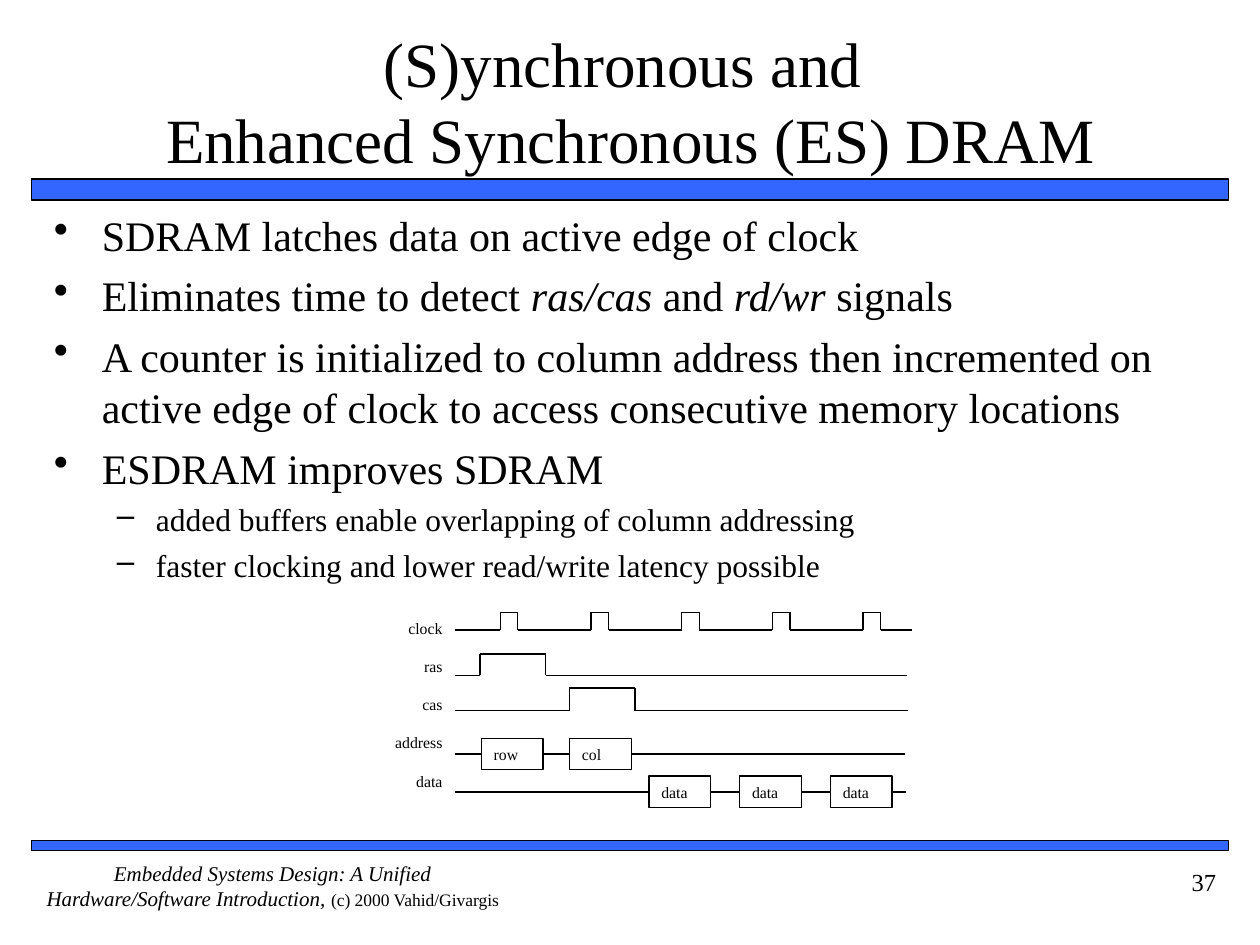
from dataclasses import dataclass
from itertools import pairwise

from lxml import etree
from pptx import Presentation
from pptx import util as u
from pptx.dml.color import RGBColor
from pptx.enum import shapes, text
from pptx.oxml.ns import qn


@dataclass(frozen=True)
class Theme:
    font: str = "Times New Roman"
    ink: RGBColor = RGBColor(0, 0, 0)
    paper: RGBColor = RGBColor(0xFF, 0xFF, 0xFF)
    bar: RGBColor = RGBColor(0x33, 0x66, 0xFF)
    title: float = 36
    point: float = 24
    subpoint: float = 18
    page: float = 14
    footer: float = 12
    credit: float = 10
    label: float = 9
    bar_line: float = 1
    signal_line: float = 0.75


@dataclass(frozen=True)
class Run:
    words: str
    italic: bool = False
    size: float | None = None


@dataclass(frozen=True)
class Bullet:
    mark: str
    indent: float
    hanging: float
    size: float
    before: float
    level: int = 0


@dataclass(frozen=True)
class Wave:
    low: float
    high: float
    rises: tuple[float, ...]
    width: float
    end: float


@dataclass(frozen=True)
class Bus:
    top: float
    cells: tuple[tuple[str, float], ...]
    end: float


THEME = Theme()
POINT = Bullet("•", 0.38, 0.38, THEME.point, 6)
SUBPOINT = Bullet("–", 0.81, 0.31, THEME.subpoint, 4.5, 1)
SIGNAL_START = 3.61
CLOCK_PITCH = 0.72
CELL_WIDTH, CELL_HEIGHT = 0.49, 0.25

POINTS = [
    (POINT, [Run("SDRAM latches data on active edge of clock")]),
    (POINT, [Run("Eliminates time to detect "), Run("ras/cas", True), Run(" and "),
             Run("rd/wr", True), Run(" signals")]),
    (POINT, [Run("A counter is initialized to column address then incremented on "
                 "active edge of clock to access consecutive memory locations")]),
    (POINT, [Run("ESDRAM improves SDRAM")]),
    (SUBPOINT, [Run("added buffers enable overlapping of column addressing")]),
    (SUBPOINT, [Run("faster clocking and lower read/write latency possible")]),
]
SIGNALS = ["clock", "ras", "cas", "address", "data"]
WAVES = [
    Wave(5.0, 4.86, tuple(3.97 + CLOCK_PITCH * i for i in range(5)), 0.14, 7.24),
    Wave(5.36, 5.19, (3.81,), 0.52, 7.2),
    Wave(5.64, 5.46, (4.52,), 0.52, 7.21),
]
BUSES = [
    Bus(5.86, (("row", 3.82), ("col", 4.52)), 7.18),
    Bus(6.16, tuple(("data", 5.15 + CLOCK_PITCH * i) for i in range(3)), 7.19),
]


def add_bullet(paragraph, bullet: Bullet) -> None:
    properties = paragraph._p.get_or_add_pPr()
    properties.set("marL", str(u.Inches(bullet.indent)))
    properties.set("indent", str(-u.Inches(bullet.hanging)))
    color = etree.SubElement(properties, qn("a:buClr"))
    etree.SubElement(color, qn("a:srgbClr")).set("val", str(THEME.ink))
    etree.SubElement(properties, qn("a:buChar")).set("char", bullet.mark)
    paragraph.level = bullet.level


def write(paragraph, runs: list[Run], *, size: float, align=text.PP_ALIGN.LEFT,
          before: float = 0, bullet: Bullet | None = None) -> None:
    if bullet:
        add_bullet(paragraph, bullet)
    paragraph.alignment = align
    paragraph.space_before = u.Pt(before)
    for part in runs:
        for i, line in enumerate(part.words.split("\n")):
            if i:
                paragraph.add_line_break()
            run = paragraph.add_run()
            run.text = line
            run.font.name = THEME.font
            run.font.size = u.Pt(part.size or size)
            run.font.italic = part.italic
            run.font.color.rgb = THEME.ink


def add_frame(slide, left: float, top: float, width: float, height: float, *,
              margins: tuple[float, float] = (0.1, 0.05), anchor=text.MSO_ANCHOR.TOP):
    box = slide.shapes.add_textbox(*map(u.Inches, (left, top, width, height)))
    frame = box.text_frame
    frame.word_wrap = True
    frame.vertical_anchor = anchor
    frame.margin_left = frame.margin_right = u.Inches(margins[0])
    frame.margin_top = frame.margin_bottom = u.Inches(margins[1])
    return frame


def next_paragraph(frame, index: int):
    return frame.add_paragraph() if index else frame.paragraphs[0]


def add_block(slide, left: float, top: float, width: float, height: float,
              fill: RGBColor, weight: float):
    block = slide.shapes.add_shape(shapes.MSO_SHAPE.RECTANGLE,
                                   *map(u.Inches, (left, top, width, height)))
    block.shadow.inherit = False
    block.fill.solid()
    block.fill.fore_color.rgb = fill
    block.line.color.rgb = THEME.ink
    block.line.width = u.Pt(weight)
    return block


def add_trace(slide, corners: list[tuple[float, float]]) -> None:
    for start, end in pairwise(corners):
        edge = slide.shapes.add_connector(shapes.MSO_CONNECTOR.STRAIGHT,
                                          *map(u.Inches, (*start, *end)))
        edge.line.color.rgb = THEME.ink
        edge.line.width = u.Pt(THEME.signal_line)
        etree.SubElement(edge._element.spPr, qn("a:effectLst"))


def add_wave(slide, wave: Wave) -> None:
    corners = [(SIGNAL_START, wave.low)]
    for rise in wave.rises:
        fall = rise + wave.width
        corners += [(rise, wave.low), (rise, wave.high), (fall, wave.high), (fall, wave.low)]
    add_trace(slide, corners + [(wave.end, wave.low)])


def add_bus(slide, bus: Bus) -> None:
    middle = bus.top + CELL_HEIGHT / 2
    reached = SIGNAL_START
    for word, left in bus.cells:
        add_trace(slide, [(reached, middle), (left, middle)])
        cell = add_block(slide, left, bus.top, CELL_WIDTH, CELL_HEIGHT,
                         THEME.paper, THEME.signal_line)
        cell.text_frame.vertical_anchor = text.MSO_ANCHOR.TOP
        write(cell.text_frame.paragraphs[0], [Run(word)], size=THEME.label)
        reached = left + CELL_WIDTH
    add_trace(slide, [(reached, middle), (bus.end, middle)])


def main() -> None:
    deck = Presentation()
    deck.slide_width, deck.slide_height = u.Inches(10), u.Inches(7.5)
    slide = deck.slides.add_slide(deck.slide_layouts[6])

    for top, height in ((1.42, 0.17), (6.67, 0.08)):
        add_block(slide, 0.25, top, 9.5, height, THEME.bar, THEME.bar_line)

    footer = add_frame(slide, 0.25, 6.83, 3.83, 0.5, margins=(0, 0))
    write(footer.paragraphs[0],
          [Run("Embedded Systems Design: A Unified Hardware/Software Introduction, ", True),
           Run("(c) 2000 Vahid/Givargis", size=THEME.credit)],
          size=THEME.footer, align=text.PP_ALIGN.CENTER)
    page = add_frame(slide, 8.75, 6.83, 1, 0.5)
    write(page.paragraphs[0], [Run("37")], size=THEME.page, align=text.PP_ALIGN.RIGHT)

    title = add_frame(slide, 0.42, 0.17, 9.17, 1.25, margins=(0, 0.05),
                      anchor=text.MSO_ANCHOR.MIDDLE)
    write(title.paragraphs[0], [Run("(S)ynchronous and \nEnhanced Synchronous (ES) DRAM")],
          size=THEME.title, align=text.PP_ALIGN.CENTER)

    body = add_frame(slide, 0.33, 1.61, 9.17, 3.06)
    for i, (bullet, runs) in enumerate(POINTS):
        write(next_paragraph(body, i), runs, size=bullet.size, bullet=bullet,
              before=bullet.before if i else 0)

    labels = add_frame(slide, 2.61, 4.86, 1, 1.77)
    for i, signal in enumerate(SIGNALS):
        write(next_paragraph(labels, i), [Run(signal)], size=THEME.label,
              align=text.PP_ALIGN.RIGHT, before=11 if i else 0)

    for wave in WAVES:
        add_wave(slide, wave)
    for bus in BUSES:
        add_bus(slide, bus)
    deck.save("out.pptx")


if __name__ == "__main__":
    main()
